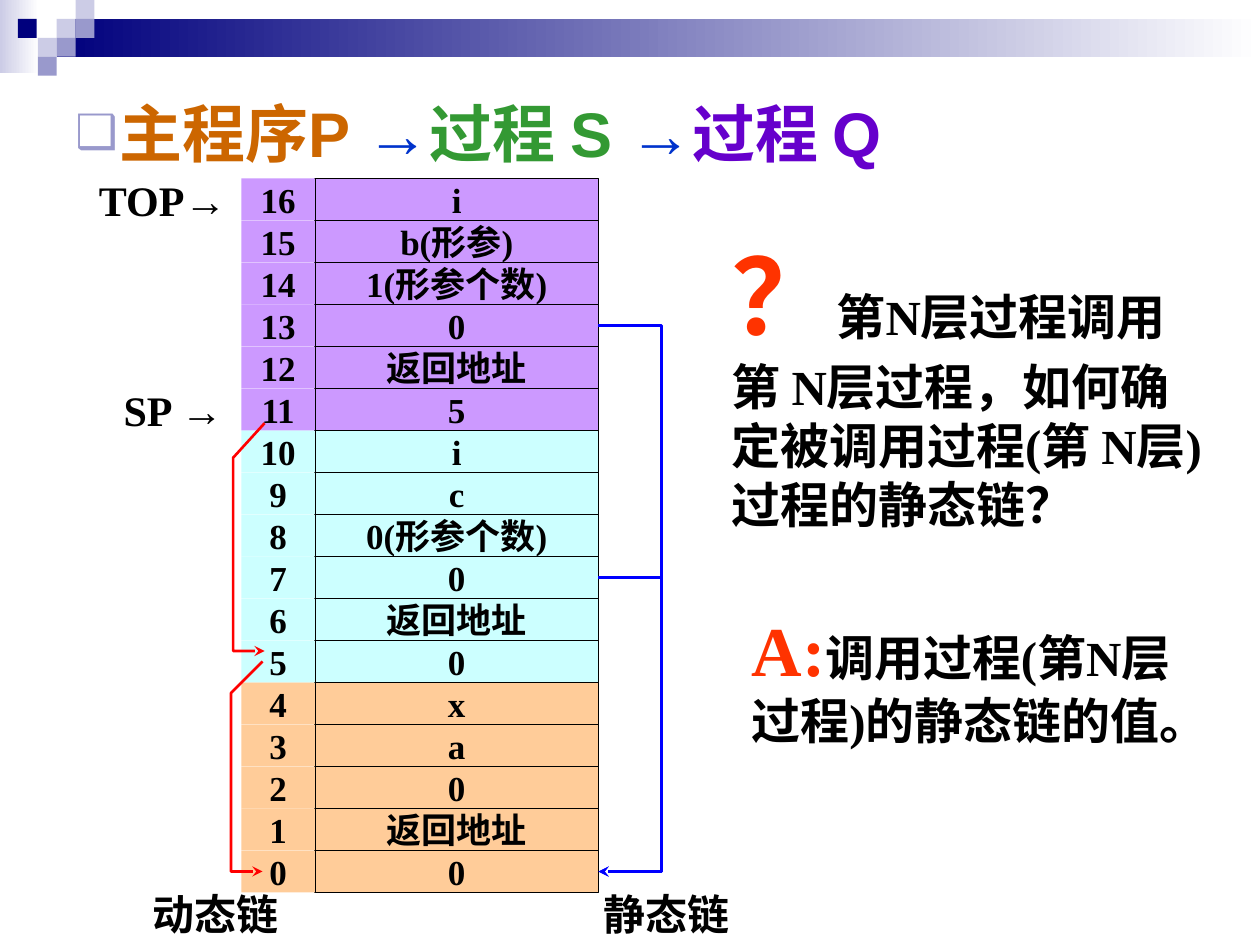
from dataclasses import dataclass

from lxml import etree
from pptx import Presentation
from pptx.dml.color import RGBColor
from pptx.enum.shapes import MSO_SHAPE
from pptx.enum.text import MSO_ANCHOR, PP_ALIGN
from pptx.oxml.ns import qn
from pptx.util import Emu, Pt

RECT = MSO_SHAPE.RECTANGLE
MIDDLE, TOP = MSO_ANCHOR.MIDDLE, MSO_ANCHOR.TOP
CENTER, LEFT = PP_ALIGN.CENTER, PP_ALIGN.LEFT
PX = 7620  # EMU per px, 120 px to the inch


@dataclass(frozen=True)
class Theme:
    serif: str = "Times New Roman"
    sans: str = "Arial"
    black: str = "000000"
    white: str = "FFFFFF"
    navy: str = "00007D"
    lilac: str = "9999CC"
    pale: str = "CCCCE6"
    main_frame: str = "FFCC99"
    s_frame: str = "CCFFFF"
    q_frame: str = "CC99FF"
    dynamic: str = "FF0000"
    static: str = "0000FF"
    accent: str = "FF3300"
    title_p: str = "CC6600"
    title_s: str = "339933"
    title_q: str = "6600CC"
    title_arrow: str = "0033CC"
    cell_size: int = 20
    label_size: int = 24
    body_size: int = 28
    title_size: int = 36
    answer_size: int = 40
    question_size: int = 60


T = Theme()

# Stack contents from address 0 upwards, one list per activation record
FRAMES = [
    (T.main_frame, ["0", "返回地址", "0", "a", "x"]),
    (T.s_frame, ["0", "返回地址", "0", "0(形参个数)", "c", "i"]),
    (T.q_frame, ["5", "返回地址", "0", "1(形参个数)", "b(形参)", "i"]),
]
ROW_H, STACK_BOTTOM = 40, 850
ADDRESS_X, ADDRESS_W, VALUE_X, VALUE_W = 230, 70, 300, 270


def px(*values):
    return [Emu(v * PX) for v in values]


def rgb(code):
    return RGBColor.from_string(code)


def add_run(p, text, size, color, font=T.serif):
    r = p.add_run()
    r.text = text
    r.font.size, r.font.name, r.font.bold = Pt(size), font, True
    r.font.color.rgb = rgb(color)


def fill_text(s, runs, align=CENTER, anchor=MIDDLE, wrap=False, inset=6):
    tf = s.text_frame
    tf.word_wrap, tf.vertical_anchor = wrap, anchor
    tf.margin_left, tf.margin_right = px(12, 12)
    tf.margin_top, tf.margin_bottom = px(inset, inset)
    p = tf.paragraphs[0]
    p.alignment = align
    for run in runs:
        add_run(p, *run)
    return p


def add_rect(slide, box, color, fade_to=None, outline=None):
    s = slide.shapes.add_shape(RECT, *px(*box))
    s.shadow.inherit = False
    if fade_to:
        s.fill.gradient()
        s.fill.gradient_angle = 0
        for stop, code, position in zip(s.fill.gradient_stops, (color, fade_to), (0, 1)):
            stop.color.rgb, stop.position = rgb(code), position
    else:
        s.fill.solid()
        s.fill.fore_color.rgb = rgb(color)
    if outline:
        s.line.color.rgb, s.line.width = rgb(outline), Pt(1)
    else:
        s.line.fill.background()
    return s


def add_text(slide, box, runs, **layout):
    return fill_text(slide.shapes.add_textbox(*px(*box)), runs, **layout)


def add_link(slide, points, color):
    """Open polyline with an arrowhead at its last point."""
    builder = slide.shapes.build_freeform(*points[0], scale=PX)
    builder.add_line_segments(points[1:], close=False)
    s = builder.convert_to_shape()
    s.shadow.inherit = False
    s.fill.background()
    s.line.color.rgb, s.line.width = rgb(color), Pt(1.5)
    etree.SubElement(s.line._get_or_add_ln(), qn("a:tailEnd"), type="stealth")


def add_bullet(p, char, color, indent):
    pPr = p._p.get_or_add_pPr()
    pPr.set("marL", str(indent * PX))
    pPr.set("indent", str(-indent * PX))
    bu_clr = etree.SubElement(pPr, qn("a:buClr"))
    etree.SubElement(bu_clr, qn("a:srgbClr"), val=color)
    etree.SubElement(pPr, qn("a:buSzPct"), val="75000")
    etree.SubElement(pPr, qn("a:buFont"), typeface=T.sans)
    etree.SubElement(pPr, qn("a:buChar"), char=char)


def add_banner(slide):
    add_rect(slide, (0, 0, 37, 70), T.pale, fade_to=T.white)
    add_rect(slide, (54, 18, 1146, 36), T.navy, fade_to=T.white)
    squares = [(54, 18, T.pale), (72, 0, T.pale), (72, 18, T.lilac), (36, 36, T.pale),
               (17, 18, T.navy), (54, 36, T.lilac), (36, 54, T.lilac)]
    for x, y, color in squares:
        add_rect(slide, (x, y, 18, 18), color)


def add_title(slide):
    parts = [("主程序P ", T.title_p), ("→", T.title_arrow), ("过程 S ", T.title_s),
             ("→", T.title_arrow), ("过程 Q", T.title_q)]
    runs = [(text, T.title_size, color, T.sans) for text, color in parts]
    p = add_text(slide, (60, 60, 1080, 131), runs, align=LEFT, wrap=True)
    add_bullet(p, "❑", T.lilac, 42)


def add_stack(slide):
    cells = [(color, value) for color, values in FRAMES for value in values]
    for address, (color, value) in enumerate(cells):
        y = STACK_BOTTOM - (address + 1) * ROW_H
        columns = [(VALUE_X, VALUE_W, value, T.black), (ADDRESS_X, ADDRESS_W, str(address), None)]
        for x, w, text, outline in columns:
            s = add_rect(slide, (x, y, w, ROW_H), color, outline=outline)
            fill_text(s, [(text, T.cell_size, T.black)], inset=0)


def add_labels(slide):
    arrow = ("→", T.label_size, T.black, T.sans)
    labels = [(80, 370, "SP ", [arrow]), (70, 170, "TOP", [arrow]),
              (120, 850, "动态链", []), (550, 850, "静态链", [])]
    for x, y, text, extra in labels:
        add_text(slide, (x, y, 170, 40), [(text, T.label_size, T.black)] + extra)


def add_links(slide):
    # Dynamic links run down the left side
    add_link(slide, [(250, 630), (220, 660), (220, 830), (250, 830)], T.dynamic)
    add_link(slide, [(252, 403), (222, 436), (222, 620), (252, 620)], T.dynamic)
    # Static links share one return path on the right
    for y in (550, 310):
        add_link(slide, [(570, y), (630, y), (630, 830), (570, 830)], T.static)


def add_notes_column(slide):
    notes = [
        ((685, 214, 482, 300), "？", T.question_size,
         "第N层过程调用第 N层过程，如何确定被调用过程(第 N层)过程的静态链？"),
        ((704, 572, 463, 204), "A:", T.answer_size, "调用过程(第N层过程)的静态链的值。"),
    ]
    for box, mark, size, text in notes:
        runs = [(mark, size, T.accent), (text, T.body_size, T.black)]
        add_text(slide, box, runs, align=LEFT, anchor=TOP, wrap=True)


def main():
    prs = Presentation()
    prs.slide_width, prs.slide_height = px(1200, 900)
    slide = prs.slides.add_slide(prs.slide_layouts[6])
    add_banner(slide)
    add_title(slide)
    add_stack(slide)
    add_labels(slide)
    add_links(slide)
    add_notes_column(slide)
    prs.save("out.pptx")


if __name__ == "__main__":
    main()
